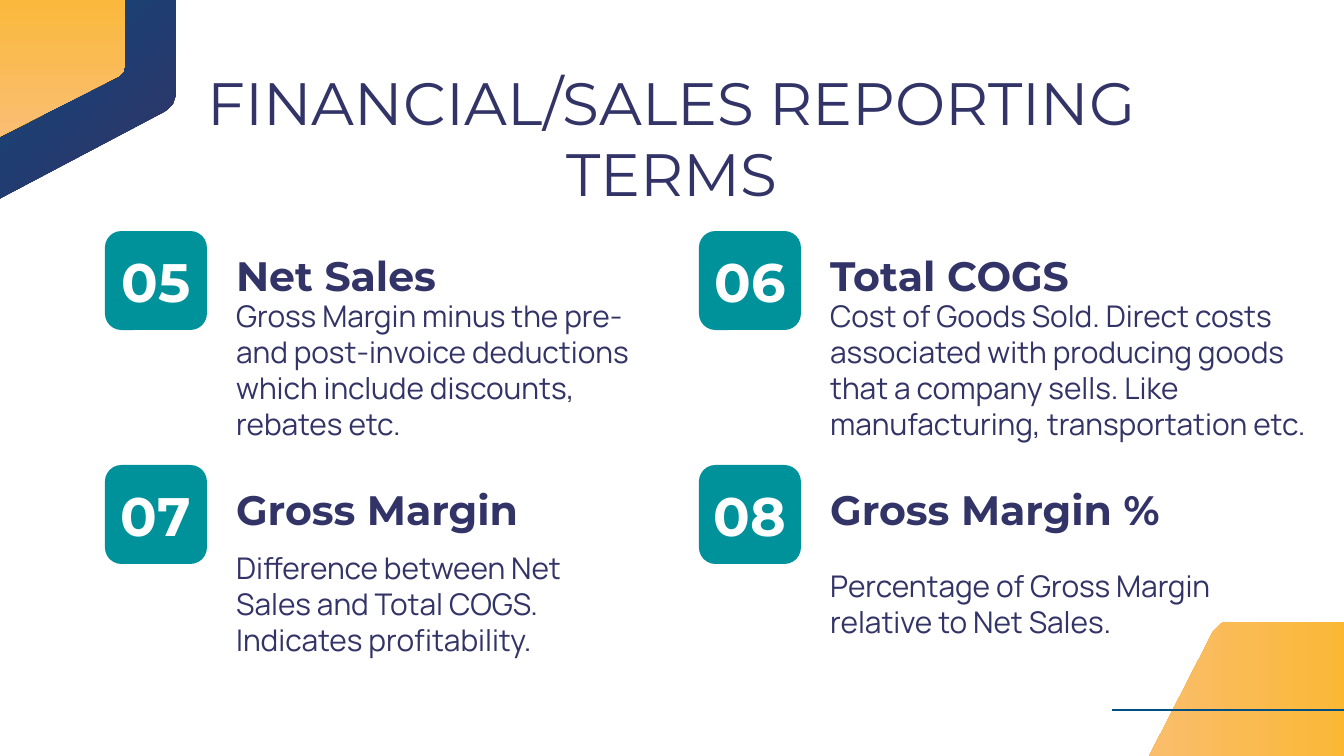
from lxml import etree
from pptx import Presentation
from pptx.dml.color import RGBColor
from pptx.enum.shapes import MSO_CONNECTOR, MSO_SHAPE
from pptx.enum.text import MSO_ANCHOR, PP_ALIGN
from pptx.oxml.ns import qn
from pptx.util import Emu, Inches, Pt

STRAIGHT = MSO_CONNECTOR.STRAIGHT
ROUNDED = MSO_SHAPE.ROUNDED_RECTANGLE
TOP, MIDDLE = MSO_ANCHOR.TOP, MSO_ANCHOR.MIDDLE
LEFT, CENTER = PP_ALIGN.LEFT, PP_ALIGN.CENTER

EMU_PER_PX = 914400 / 134.4
COLORS = {
    "ink": "323366", "navy": "194175", "blue": "004F83", "teal": "00929B",
    "gold": "FAB403", "amber": "FAB93C", "peach": "FABE75", "white": "FFFFFF",
}
GOLD_STOPS = [(0, "gold"), (34, "amber"), (100, "peach")]
NAVY_STOPS = [(0, "ink"), (63, "navy"), (100, "blue")]

COLUMNS, ROWS = (105, 699), (231, 465)
BADGE_WIDTH, BADGE_HEIGHT = 102, 99
TEXT_OFFSET = 118

# Number, heading, heading width, description, description width
TERMS = [
    ("05", "Net Sales", 343,
     "Gross Margin minus the pre- and post-invoice deductions which include "
     "discounts, rebates etc.", 464),
    ("06", "Total COGS", 343,
     "Cost of Goods Sold. Direct costs associated with producing goods that a "
     "company sells. Like manufacturing, transportation etc.", 543),
    ("07", "Gross Margin", 343,
     "Difference between Net Sales and Total COGS. Indicates profitability.", 422),
    ("08", "Gross Margin %", 513,
     "Percentage of Gross Margin relative to Net Sales.", 513),
]


def px(value):
    return Emu(round(value * EMU_PER_PX))


def color(name):
    return RGBColor.from_string(COLORS[name])


def curve(start, control_1, control_2, end, steps=8):
    """Points along a cubic curve, for a rounded corner."""
    points = []
    for step in range(steps + 1):
        t = step / steps
        weights = ((1 - t) ** 3, 3 * t * (1 - t) ** 2, 3 * t ** 2 * (1 - t), t ** 3)
        corners = (start, control_1, control_2, end)
        points.append(tuple(sum(w * p[axis] for w, p in zip(weights, corners))
                            for axis in (0, 1)))
    return points


def set_gradient(shape, stops, angle):
    shape.fill.gradient()
    gradient = shape._element.spPr.find(qn("a:gradFill"))
    stop_list = gradient.find(qn("a:gsLst"))
    for stop in list(stop_list):
        stop_list.remove(stop)
    for position, name in stops:
        stop = etree.SubElement(stop_list, qn("a:gs"), pos=str(position * 1000))
        etree.SubElement(stop, qn("a:srgbClr"), val=COLORS[name])
    gradient.find(qn("a:lin")).set("ang", str(angle * 60000))


def add_panel(slide, points, stops, angle):
    builder = slide.shapes.build_freeform(*points[0], scale=EMU_PER_PX)
    builder.add_line_segments(points[1:], close=True)
    shape = builder.convert_to_shape()
    shape.shadow.inherit = False
    set_gradient(shape, stops, angle)
    shape.line.fill.background()


def add_rule(slide, left, right, y):
    connector = slide.shapes.add_connector(STRAIGHT, px(left), px(y), px(right), px(y))
    connector.line.color.rgb = color("blue")
    connector.line.width = Pt(1.5)
    etree.SubElement(connector._element.spPr, qn("a:effectLst"))


def add_badge(slide, left, top):
    shape = slide.shapes.add_shape(ROUNDED, px(left), px(top),
                                   px(BADGE_WIDTH), px(BADGE_HEIGHT))
    shape.adjustments[0] = 0.167
    shape.shadow.inherit = False
    shape.fill.solid()
    shape.fill.fore_color.rgb = color("teal")
    shape.line.fill.background()


def add_text(slide, text, left, top, width, height, *, size, font="Montserrat",
             bold=False, fill="ink", align=LEFT, anchor=MIDDLE):
    box = slide.shapes.add_textbox(px(left), px(top), px(width), px(height))
    frame = box.text_frame
    frame.word_wrap = True
    frame.vertical_anchor = anchor
    frame.margin_left = frame.margin_right = Inches(0.1)
    frame.margin_top = frame.margin_bottom = Inches(0.1)
    paragraph = frame.paragraphs[0]
    paragraph.alignment = align
    run = paragraph.add_run()
    run.text = text
    run.font.name = font
    run.font.size = Pt(size)
    run.font.bold = bold
    run.font.color.rgb = color(fill)


def add_term(slide, left, top, number, heading, heading_width, body, body_width):
    text_left = left + TEXT_OFFSET
    add_badge(slide, left, top)
    add_text(slide, number, left, top + 11, BADGE_WIDTH, 78,
             size=29, bold=True, fill="white", align=CENTER)
    add_text(slide, heading, text_left, top + 5, heading_width, 78, size=22, bold=True)
    add_text(slide, body, text_left, top + 103, body_width, 71, size=16, font="Manrope")


def add_decoration(slide):
    # Bottom right corner
    gold_corner = curve((1228, 622), (1222, 622), (1215, 628), (1212, 634))
    add_panel(slide, [(1427, 813), (1427, 622), *gold_corner, (1120, 813)],
              GOLD_STOPS, 180)
    # Top left corner
    navy_corner = curve((164, 112), (171, 108), (176, 101), (176, 91))
    add_panel(slide, [(176, -70), (-3, -70), (-3, 200), *navy_corner],
              NAVY_STOPS, 225)
    inner_corner = curve((125, 65), (125, 70), (122, 74), (117, 77))
    add_panel(slide, [(-3, -69), (125, -69), *inner_corner, (-3, 138)],
              GOLD_STOPS, 90)
    add_rule(slide, 1112, 1344, 710)


def main():
    presentation = Presentation()
    presentation.slide_width, presentation.slide_height = px(1344), px(756)
    slide = presentation.slides.add_slide(presentation.slide_layouts[6])
    slide.background.fill.solid()
    slide.background.fill.fore_color.rgb = color("white")

    add_decoration(slide)
    add_text(slide, "FINANCIAL/SALES REPORTING TERMS", 105, 52, 1134, 85,
             size=32, align=CENTER, anchor=TOP)

    # Two by two grid of terms
    for index, term in enumerate(TERMS):
        row, column = divmod(index, len(COLUMNS))
        add_term(slide, COLUMNS[column], ROWS[row], *term)

    presentation.save("out.pptx")


if __name__ == "__main__":
    main()
